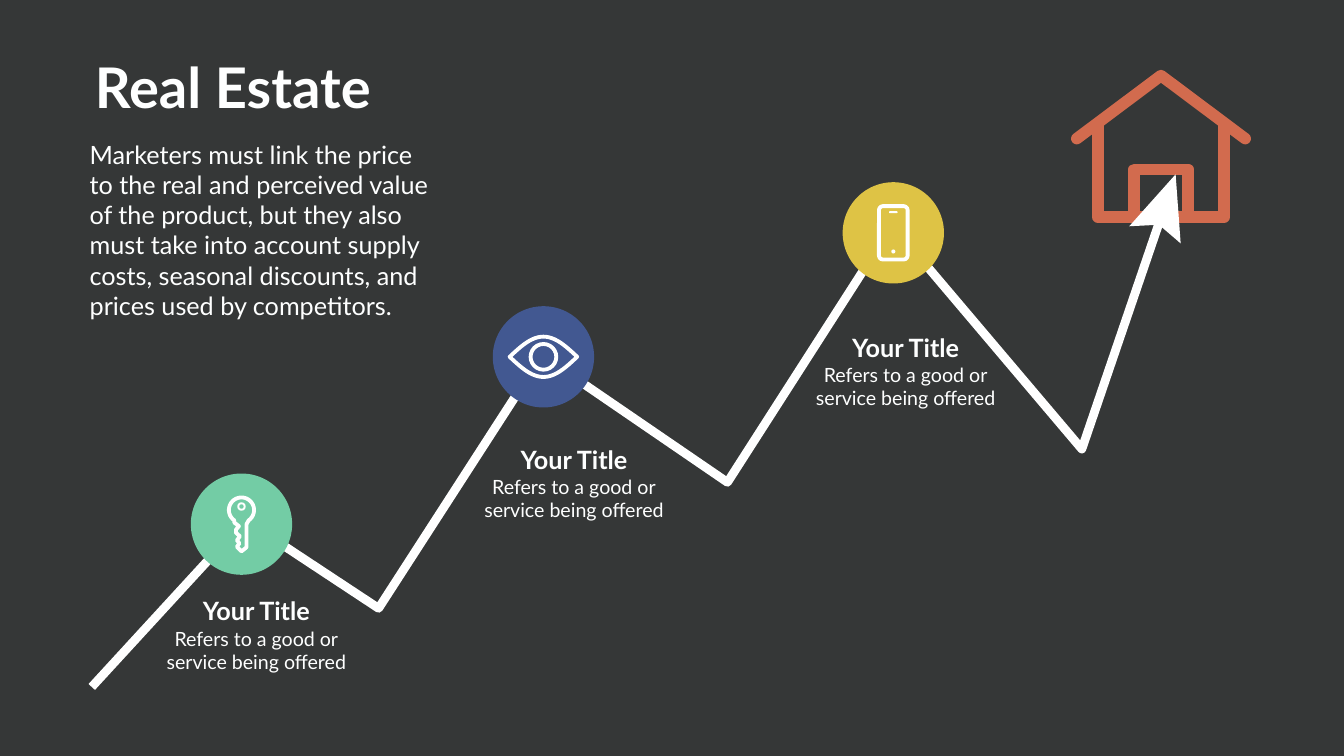
from math import cos, pi, radians, sin

from lxml.etree import SubElement
from pptx import Presentation
from pptx.dml.color import RGBColor
from pptx.enum.shapes import MSO_SHAPE
from pptx.enum.text import MSO_ANCHOR, MSO_AUTO_SIZE, PP_ALIGN
from pptx.oxml.ns import qn
from pptx.util import Inches, Pt

FONT = "Lato"
COLORS = {
    "back": "353737", "text": "FEFFFF", "white": "FFFFFF", "house": "D26B4E",
    "green": "73CCA5", "blue": "425891", "yellow": "DEC345",
}
TITLE = "Real Estate"
BODY = ("Marketers must link the price to the real and perceived value of the "
        "product, but they also must take into account supply costs, seasonal "
        "discounts, and prices used by competitors.")
STEP = "Your Title"
NOTES = ["Refers to a good or", "service being offered"]

# Circle centre, colour, and top left corner of the label
STOPS = [
    ((4.79, 10.4), "green", (3.17, 11.77)),
    ((10.78, 7.08), "blue", (9.47, 8.76)),
    ((17.72, 4.62), "yellow", (16.05, 6.54)),
]
ROUTE = [(1.82, 13.63), (4.86, 10.32), (7.51, 12.07), (10.75, 7.05),
         (14.43, 9.57), (17.7, 4.47), (21.46, 8.91), (23.04, 4.28)]
ARROW = [(23.42, 4.83), (22.99, 4.46), (22.4, 4.49), (23.32, 3.46)]
ROOF = [(21.36, 2.75), (23.03, 1.5), (24.7, 2.75)]
WALLS = [(21.78, 2.5), (21.78, 4.31), (24.28, 4.31), (24.28, 2.5)]
DOOR = [(22.5, 4.31), (22.5, 3.36), (23.57, 3.36), (23.57, 4.31)]
SHAFT = [(4.89, 10.4), (4.89, 10.86), (4.79, 10.94), (4.7, 10.85),
         (4.75, 10.78), (4.7, 10.72), (4.76, 10.64), (4.68, 10.57),
         (4.68, 10.51), (4.74, 10.44), (4.65, 10.37)]


def tint(color):
    return RGBColor.from_string(COLORS[color])


def paint(shape, fill=None, line=None, width=0, cap="flat"):
    shape.shadow.inherit = False
    if fill:
        shape.fill.solid()
        shape.fill.fore_color.rgb = tint(fill)
    else:
        shape.fill.background()
    if line:
        shape.line.color.rgb = tint(line)
        shape.line.width = Pt(width)
        edge = shape.element.spPr.get_or_add_ln()
        edge.set("cap", cap)
        SubElement(edge, qn("a:round"))
    else:
        shape.line.fill.background()


def trace(shapes, points, close=False, **style):
    spots = [(Inches(x), Inches(y)) for x, y in points]
    pen = shapes.build_freeform(*spots[0], scale=1.0)
    pen.add_line_segments(spots[1:], close=close)
    paint(pen.convert_to_shape(), **style)


def center(shapes, kind, mid, wide, high, **style):
    """Add a preset shape around its middle point."""
    x, y = mid
    shape = shapes.add_shape(kind, Inches(x - wide / 2), Inches(y - high / 2),
                             Inches(wide), Inches(high))
    paint(shape, **style)
    return shape


def place(shape, box):
    shape.left, shape.top, shape.width, shape.height = map(Inches, box)


def write(shape, lines, size, bold=False, align=PP_ALIGN.CENTER):
    frame = shape.text_frame
    frame.word_wrap = True
    frame.auto_size = MSO_AUTO_SIZE.NONE
    frame.vertical_anchor = MSO_ANCHOR.TOP
    for i, line in enumerate(lines):
        para = frame.add_paragraph() if i else frame.paragraphs[0]
        para.alignment = align
        run = para.add_run()
        run.text = line
        run.font.name = FONT
        run.font.size = Pt(size)
        run.font.bold = bold
        run.font.color.rgb = tint("text")


def add_text(shapes, box, lines, size, **style):
    write(shapes.add_textbox(*map(Inches, box)), lines, size, **style)


def draw_house(shapes):
    for points in (ROOF, WALLS, DOOR):
        trace(shapes, points, line="house", width=16.5, cap="rnd")


def draw_key(shapes, pen):
    x, y = 4.79, 10.12
    head = [(x + 0.25 * cos(radians(a)), y + 0.25 * sin(radians(a)))
            for a in range(125, 416, 10)]
    trace(shapes, head + SHAFT, close=True, **pen)
    center(shapes, MSO_SHAPE.OVAL, (x, 10.05), 0.13, 0.13,
           line="white", width=2.75)


def draw_eye(shapes, pen):
    x, y = mid = STOPS[1][0]
    steps = [i / 12 for i in range(-12, 13)]
    lid = [(x + 0.67 * t, y - 0.4 * cos(pi * t / 2)) for t in steps]
    low = [(px, 2 * y - py) for px, py in reversed(lid[1:-1])]
    trace(shapes, lid + low, close=True, **pen)
    center(shapes, MSO_SHAPE.OVAL, mid, 0.51, 0.51, **pen)


def draw_phone(shapes, pen):
    x, y = mid = STOPS[2][0]
    case = center(shapes, MSO_SHAPE.ROUNDED_RECTANGLE, mid, 0.57, 1.06, **pen)
    case.adjustments[0] = 0.14
    center(shapes, MSO_SHAPE.OVAL, (x, y + 0.37), 0.08, 0.08, fill="white")
    slot = center(shapes, MSO_SHAPE.ROUNDED_RECTANGLE, (x, y - 0.41),
                  0.17, 0.04, fill="white")
    slot.adjustments[0] = 0.5


def main():
    deck = Presentation()
    deck.slide_width, deck.slide_height = Inches(26.66), Inches(15)
    slide = deck.slides.add_slide(deck.slide_layouts[5])
    slide.background.fill.solid()
    slide.background.fill.fore_color.rgb = tint("back")
    shapes = slide.shapes

    draw_house(shapes)
    trace(shapes, ROUTE, line="white", width=12.5)
    trace(shapes, ARROW, close=True, fill="white")
    for mid, color, _ in STOPS:
        center(shapes, MSO_SHAPE.OVAL, mid, 2.01, 2.01, fill=color)
    pen = {"line": "white", "width": 5.5}
    for draw in (draw_key, draw_eye, draw_phone):
        draw(shapes, pen)

    place(shapes.title, (1.69, 1, 5.86, 1.45))
    write(shapes.title, [TITLE], 80, bold=True)
    add_text(shapes, (1.68, 2.71, 7.01, 3.65), [BODY], 36, align=PP_ALIGN.LEFT)
    for _, _, (x, y) in STOPS:
        group = shapes.add_group_shape().shapes
        add_text(group, (x + 0.67, y, 2.49, 0.51), [STEP], 36, bold=True)
        add_text(group, (x, y + 0.61, 3.83, 1.06), NOTES, 28)
    deck.save("out.pptx")


if __name__ == "__main__":
    main()
